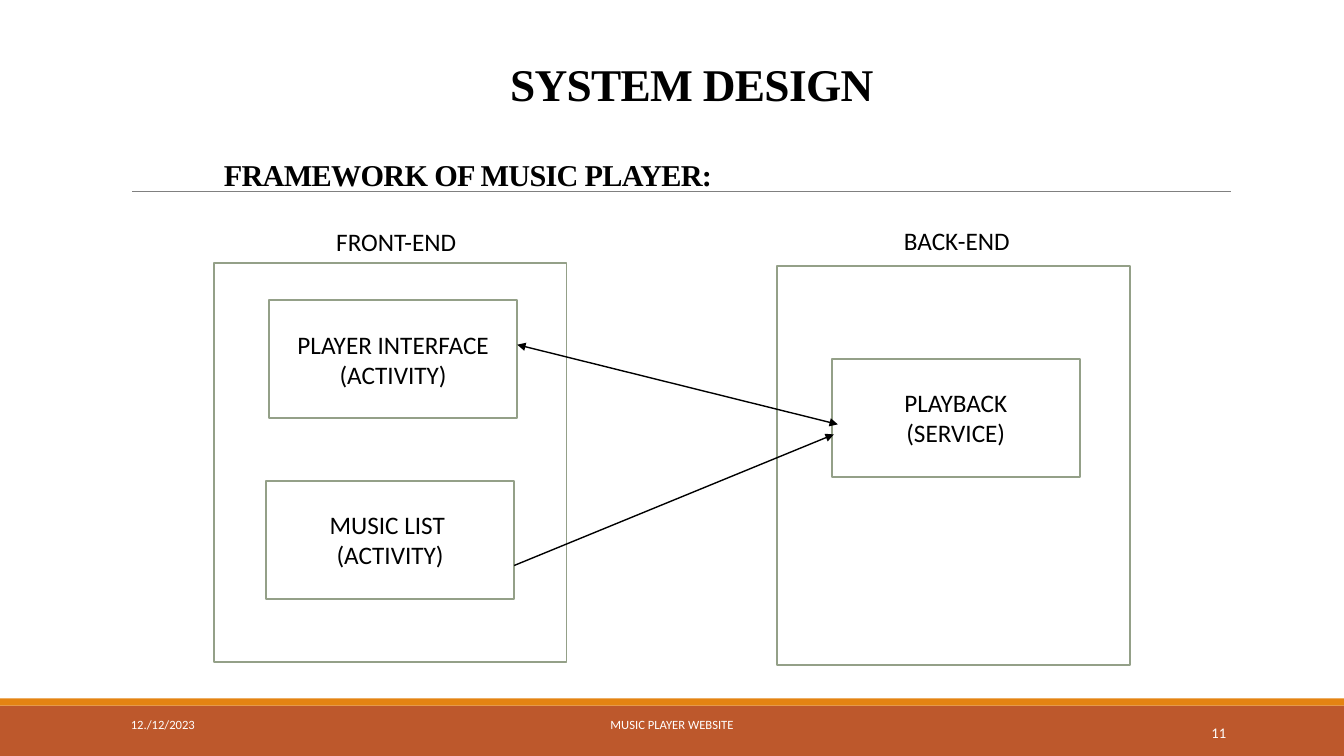
from lxml.etree import SubElement
from pptx import Presentation
from pptx.dml.color import RGBColor
from pptx.enum.shapes import MSO_CONNECTOR, MSO_SHAPE
from pptx.enum.text import MSO_ANCHOR, MSO_AUTO_SIZE, PP_ALIGN
from pptx.oxml.ns import qn
from pptx.util import Inches, Pt

BLACK = RGBColor(0x00, 0x00, 0x00)
WHITE = RGBColor(0xFF, 0xFF, 0xFF)
GRAY = RGBColor(0x80, 0x80, 0x80)
SAGE = RGBColor(0x94, 0xA0, 0x88)
RUST = RGBColor(0xBD, 0x58, 0x2C)
ORANGE = RGBColor(0xE4, 0x83, 0x12)

PANEL_SIZE = (3.5, 3.96)
CARD_SIZE = (2.46, 1.17)
LABEL_SIZE = (2.52, 0.4)


def inches(*lengths):
    return [Inches(length) for length in lengths]


def write(shape, lines, size, color, align):
    frame = shape.text_frame
    frame.text = "\n".join(lines)
    frame.word_wrap = True
    frame.vertical_anchor = MSO_ANCHOR.MIDDLE
    for para in frame.paragraphs:
        para.alignment = align
        for span in para.runs:
            span.font.name = "Calibri"
            span.font.size = Pt(size)
            span.font.color.rgb = color


def add_text(page, box, text, size, color, align):
    write(page.shapes.add_textbox(*inches(*box)), [text], size, color, align)


def add_box(page, box, fill, line=None):
    shape = page.shapes.add_shape(MSO_SHAPE.RECTANGLE, *inches(*box))
    shape.shadow.inherit = False
    shape.fill.solid()
    shape.fill.fore_color.rgb = fill
    if line is None:
        shape.line.fill.background()
    else:
        shape.line.color.rgb = line
        shape.line.width = Pt(1.25)
    return shape


def add_line(page, start, end, color, width, arrow_ends=()):
    line = page.shapes.add_connector(
        MSO_CONNECTOR.STRAIGHT, *inches(*start, *end))
    line.line.color.rgb = color
    line.line.width = Pt(width)
    outline = line.line._get_or_add_ln()
    for arrow_end in arrow_ends:
        SubElement(outline, qn(f"a:{arrow_end}"), type="triangle")
    SubElement(line._element.spPr, qn("a:effectLst"))


def add_heading(page, box):
    title = page.shapes.title
    title.left, title.top, title.width, title.height = inches(*box)
    frame = title.text_frame
    frame.text = "SYSTEM DESIGN\nFRAMEWORK OF MUSIC PLAYER:"
    frame.word_wrap = True
    frame.auto_size = MSO_AUTO_SIZE.NONE
    frame.vertical_anchor = MSO_ANCHOR.BOTTOM
    styles = [(32.4, PP_ALIGN.CENTER, 0), (21.6, PP_ALIGN.LEFT, 36)]
    for para, (size, align, gap) in zip(frame.paragraphs, styles):
        para.alignment = align
        para.line_spacing = 0.85
        para.space_before = Pt(gap)
        for span in para.runs:
            span.font.name = "Times New Roman"
            span.font.size = Pt(size)
            span.font.bold = True
            span.font.color.rgb = BLACK
            span.font._element.set("spc", "-50")  # tightened letters


def add_footer(page, box):
    left, top, width, height = box
    stripe = 0.07
    add_box(page, (left, top + stripe, width, height - stripe), RUST)
    add_box(page, (left, top, width, stripe), ORANGE)
    # Date, name and page number
    text_top = top + 0.06
    add_text(page, (left + 1.2, text_top, 2.7, 0.4), "12./12/2023",
             9, WHITE, PP_ALIGN.LEFT)
    add_text(page, (left + 4.03, text_top, 5.27, 0.4), "MUSIC PLAYER WEBSITE",
             9, WHITE, PP_ALIGN.CENTER)
    add_text(page, (left + 10.83, text_top + 0.08, 1.43, 0.4), "11",
             10.5, WHITE, PP_ALIGN.RIGHT)


def add_panel(page, corner, label, label_offset, cards):
    """Place a labelled panel; offsets are measured from its corner."""
    left, top = corner
    add_box(page, (*corner, *PANEL_SIZE), WHITE, SAGE)
    across, down = label_offset
    add_text(page, (left + across, top + down, *LABEL_SIZE), label,
             18, BLACK, PP_ALIGN.CENTER)
    for (across, down), lines in cards:
        card = add_box(page, (left + across, top + down, *CARD_SIZE),
                       WHITE, SAGE)
        write(card, lines, 18, BLACK, PP_ALIGN.CENTER)


def add_framework(page):
    add_panel(page, (2.12, 2.61), "FRONT-END", (0.55, -0.41), [
        ((0.55, 0.37), ["PLAYER INTERFACE", "(ACTIVITY)"]),
        ((0.52, 2.16), ["MUSIC LIST ", "(ACTIVITY)"]),
    ])
    add_panel(page, (7.71, 2.64), "BACK-END", (0.52, -0.45), [
        ((0.54, 0.92), ["PLAYBACK", "(SERVICE)"]),
    ])
    # Links from the front-end cards to playback
    add_line(page, (5.13, 3.42), (8.31, 4.21), BLACK, 1,
             ("headEnd", "tailEnd"))
    add_line(page, (5.1, 5.61), (8.27, 4.31), BLACK, 1, ("tailEnd",))


def main():
    deck = Presentation()
    deck.slide_width, deck.slide_height = inches(13.33, 7.5)
    page = deck.slides.add_slide(deck.slide_layouts[5])
    add_footer(page, (0, 6.93, 13.33, 0.57))
    add_line(page, (1.31, 1.9), (12.21, 1.9), GRAY, 0.5)
    add_heading(page, (2.12, 0.46, 9.48, 1.5))
    add_framework(page)
    deck.save("out.pptx")


if __name__ == "__main__":
    main()
